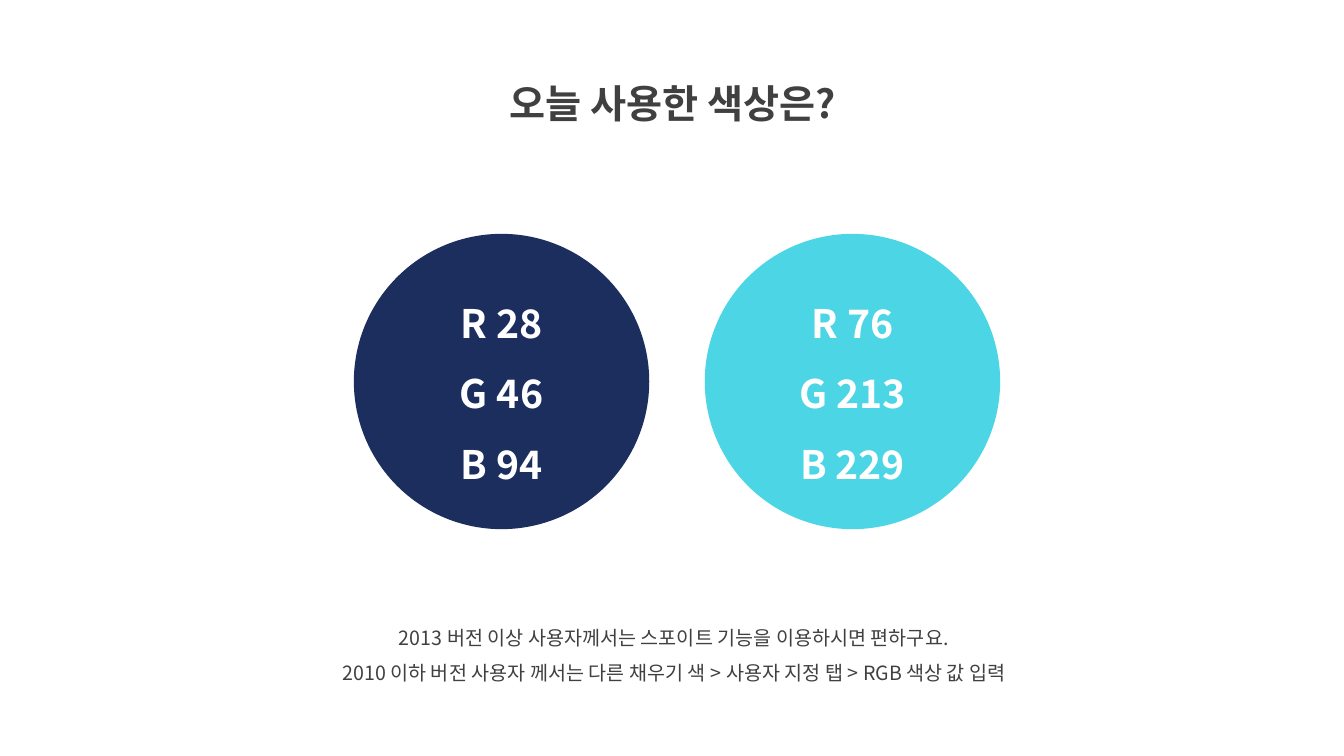
from lxml import etree
from pptx import Presentation
from pptx.dml.color import RGBColor
from pptx.enum.shapes import MSO_SHAPE
from pptx.enum.text import MSO_ANCHOR, PP_ALIGN
from pptx.oxml.ns import qn
from pptx.util import Inches, Pt

OVAL = MSO_SHAPE.OVAL
MIDDLE = MSO_ANCHOR.MIDDLE
CENTER = PP_ALIGN.CENTER
FONT = "Noto Sans CJK KR"
GREY = RGBColor(64, 64, 64)
WHITE = RGBColor(255, 255, 255)
NAVY = (28, 46, 94)
AQUA = (76, 213, 229)


def write(shape, lines, size, color, bold):
    frame = shape.text_frame
    frame.word_wrap = True
    for i, line in enumerate(lines):
        para = frame.add_paragraph() if i else frame.paragraphs[0]
        para.alignment = CENTER
        para.line_spacing = 1.5
        run = para.add_run()
        run.text = line
        font = run.font
        font.name = FONT
        font.size = Pt(size)
        font.bold = bold
        font.color.rgb = color
        east = etree.SubElement(run._r.get_or_add_rPr(), qn("a:ea"))
        east.set("typeface", FONT)


deck = Presentation()
deck.slide_width = Inches(13.33)
deck.slide_height = Inches(7.5)
slide = deck.slides.add_slide(deck.slide_layouts[6])
shapes = slide.shapes

title = shapes.add_textbox(Inches(4.36), Inches(0.5), Inches(4.63), Inches(0.72))
write(title, ["오늘 사용한 색상은?"], 28, GREY, True)

tips = [
    "2013 버전 이상 사용자께서는 스포이트 기능을 이용하시면 편하구요.",
    "2010 이하 버전 사용자 께서는 다른 채우기 색 > 사용자 지정 탭 > RGB 색상 값 입력",
]
note = shapes.add_textbox(Inches(2.69), Inches(6.04), Inches(7.99), Inches(0.81))
write(note, tips, 14, GREY, False)

left, top, side, step = 3.51, 2.32, 2.93, 3.48
for col, tone in enumerate((NAVY, AQUA)):
    disc = shapes.add_shape(
        OVAL, Inches(left + col * step), Inches(top), Inches(side), Inches(side)
    )
    disc.shadow.inherit = False
    disc.fill.solid()
    disc.fill.fore_color.rgb = RGBColor(*tone)
    disc.line.fill.background()
    disc.text_frame.vertical_anchor = MIDDLE
    lines = [f"{name} {value}" for name, value in zip("RGB", tone)]
    write(disc, lines, 28, WHITE, True)

deck.save("out.pptx")
